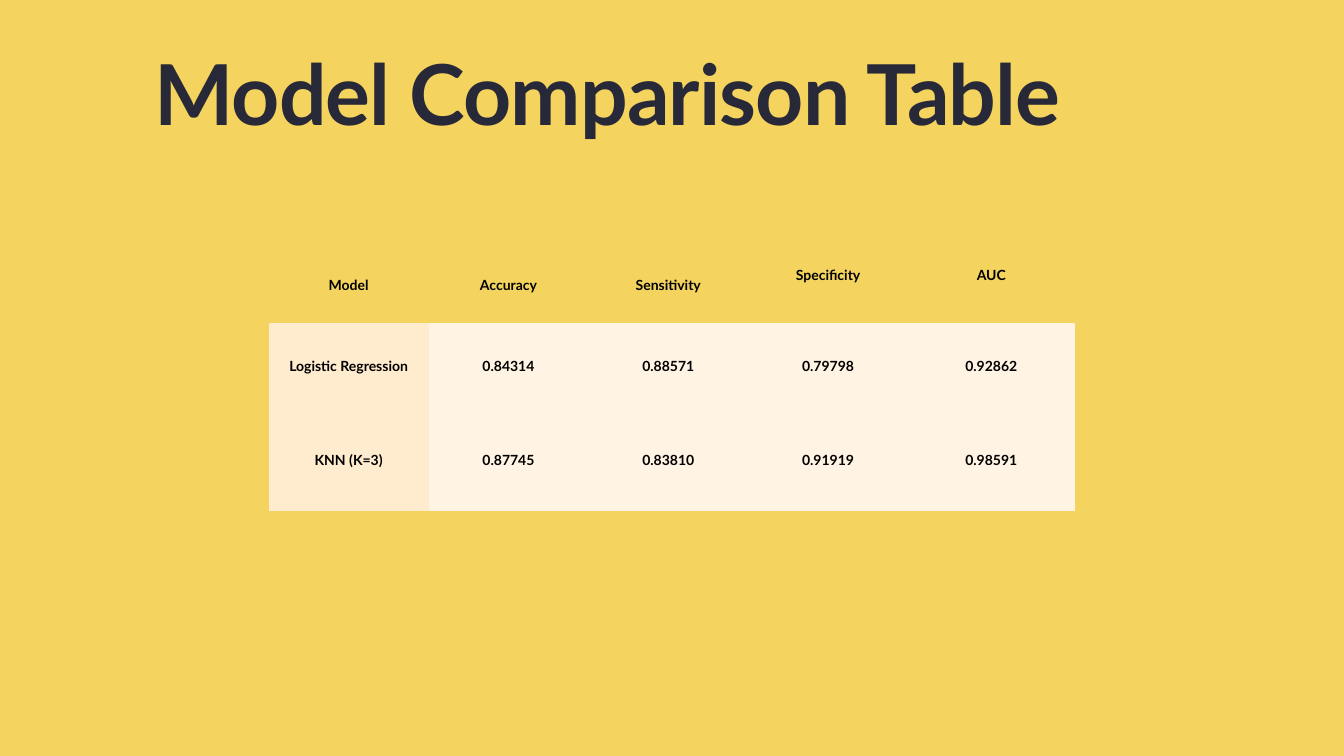
import pptx
import pptx.dml.color
import pptx.enum.text
import pptx.oxml
import pptx.oxml.ns
import pptx.util
from pptx.util import Cm

TITLE = "Model Comparison Table"
ROWS = [
    ["Model", "Accuracy", "Sensitivity", "Specificity", "AUC"],
    ["Logistic Regression", "0.84314", "0.88571", "0.79798", "0.92862"],
    ["KNN (K=3)", "0.87745", "0.83810", "0.91919", "0.98591"],
]
RAISED_HEADINGS = ("Specificity", "AUC")

COLOURS = {
    "background": "F4D35E",
    "title": "272838",
    "text": "000000",
    "model": "FFEBCD",
    "score": "FFF4E3",
}
FONT = "Lato"
COLUMN_WIDTHS = [6.04] * 4 + [6.3]
ROW_HEIGHTS = [2.95, 3.91, 3.2]
CELL_MARGIN = Cm(0.53)
LINE_HEIGHT = pptx.util.Pt(21)


def rgb(name):
    return pptx.dml.color.RGBColor.from_string(COLOURS[name])


def add_run(paragraph, text, size, colour, line_height):
    paragraph.line_spacing = line_height
    run = paragraph.add_run()
    run.text = text
    run.font.name = FONT
    run.font.size = pptx.util.Pt(size)
    run.font.bold = True
    run.font.color.rgb = rgb(colour)
    return run


def remove_borders(cell):
    properties = cell._tc.get_or_add_tcPr()
    namespace = pptx.oxml.ns.nsdecls("a")
    for index, side in enumerate(("lnL", "lnR", "lnT", "lnB")):
        line = pptx.oxml.parse_xml(f'<a:{side} {namespace} w="0"><a:noFill/></a:{side}>')
        properties.insert(index, line)


def add_title(slide):
    box = slide.shapes.add_textbox(Cm(5.84), Cm(2.54), Cm(39.12), Cm(3.61))
    frame = box.text_frame
    frame.word_wrap = True
    frame.auto_size = pptx.enum.text.MSO_AUTO_SIZE.SHAPE_TO_FIT_TEXT
    frame.margin_left = frame.margin_right = frame.margin_top = frame.margin_bottom = 0
    run = add_run(frame.paragraphs[0], TITLE, 90, "title", pptx.util.Pt(81))
    run._r.get_or_add_rPr().set("spc", "-90")


def fill_cell(cell, text, row, column):
    if row == 0:
        cell.fill.background()
    else:
        cell.fill.solid()
        cell.fill.fore_color.rgb = rgb("model" if column == 0 else "score")
    remove_borders(cell)
    cell.vertical_anchor = pptx.enum.text.MSO_ANCHOR.MIDDLE
    cell.margin_left = cell.margin_right = cell.margin_top = CELL_MARGIN
    # Raised text sits half a line above the middle of its cell
    raised = row > 0 or text in RAISED_HEADINGS
    cell.margin_bottom = CELL_MARGIN + (LINE_HEIGHT if raised else 0)
    paragraph = cell.text_frame.paragraphs[0]
    paragraph.alignment = pptx.enum.text.PP_ALIGN.CENTER
    add_run(paragraph, text, 15, "text", LINE_HEIGHT)


def add_comparison_table(slide):
    table = slide.shapes.add_table(
        len(ROWS), len(ROWS[0]), Cm(10.16), Cm(9.25),
        Cm(sum(COLUMN_WIDTHS)), Cm(sum(ROW_HEIGHTS)),
    ).table
    table.first_row = False
    table.horz_banding = False
    for column, width in zip(table.columns, COLUMN_WIDTHS):
        column.width = Cm(width)
    for row, height in zip(table.rows, ROW_HEIGHTS):
        row.height = Cm(height)
    for row, texts in enumerate(ROWS):
        for column, text in enumerate(texts):
            fill_cell(table.cell(row, column), text, row, column)


def main():
    presentation = pptx.Presentation()
    presentation.slide_width = Cm(50.8)
    presentation.slide_height = Cm(28.58)
    slide = presentation.slides.add_slide(presentation.slide_layouts[6])
    slide.background.fill.solid()
    slide.background.fill.fore_color.rgb = rgb("background")
    add_comparison_table(slide)
    add_title(slide)
    presentation.save("out.pptx")


if __name__ == "__main__":
    main()
